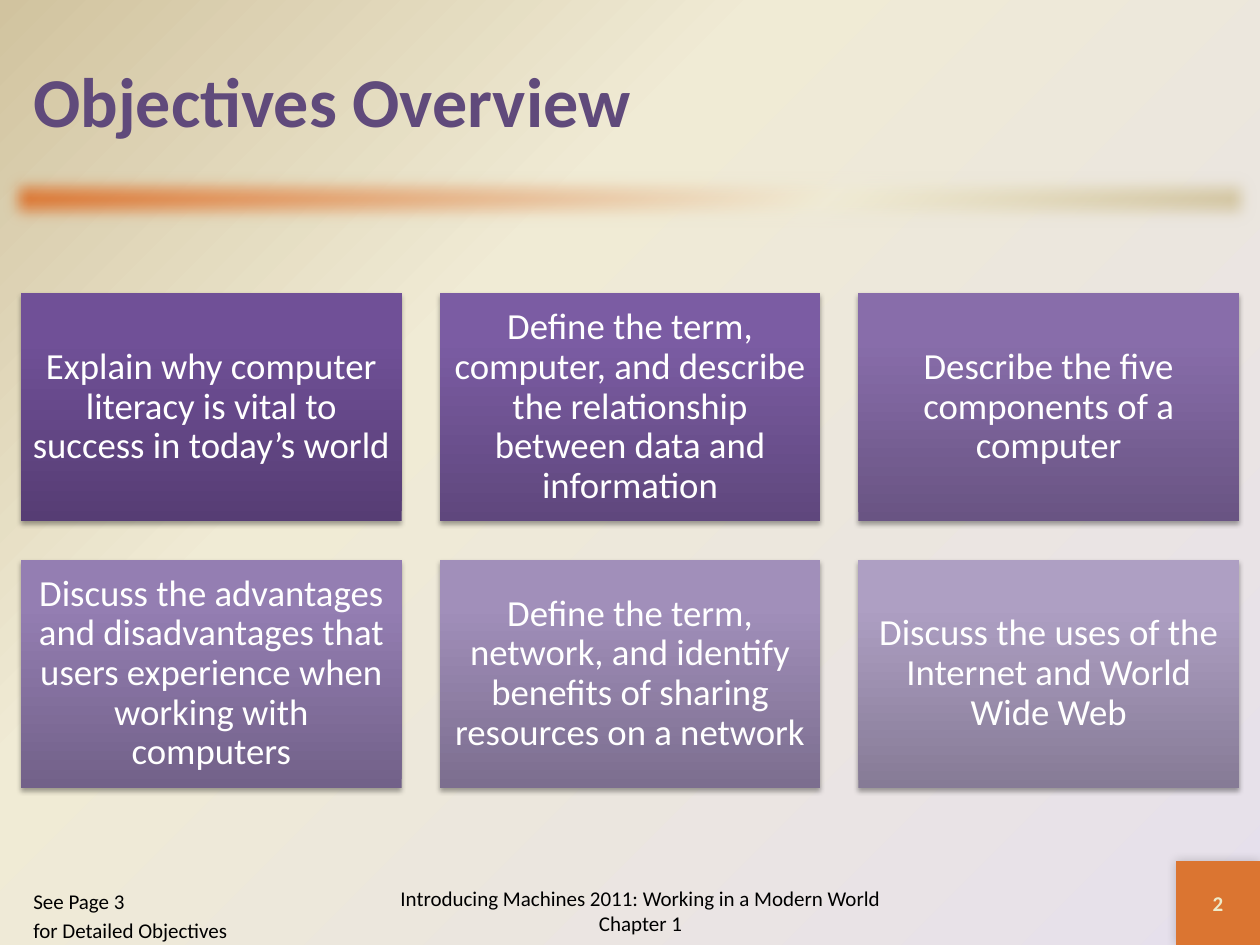
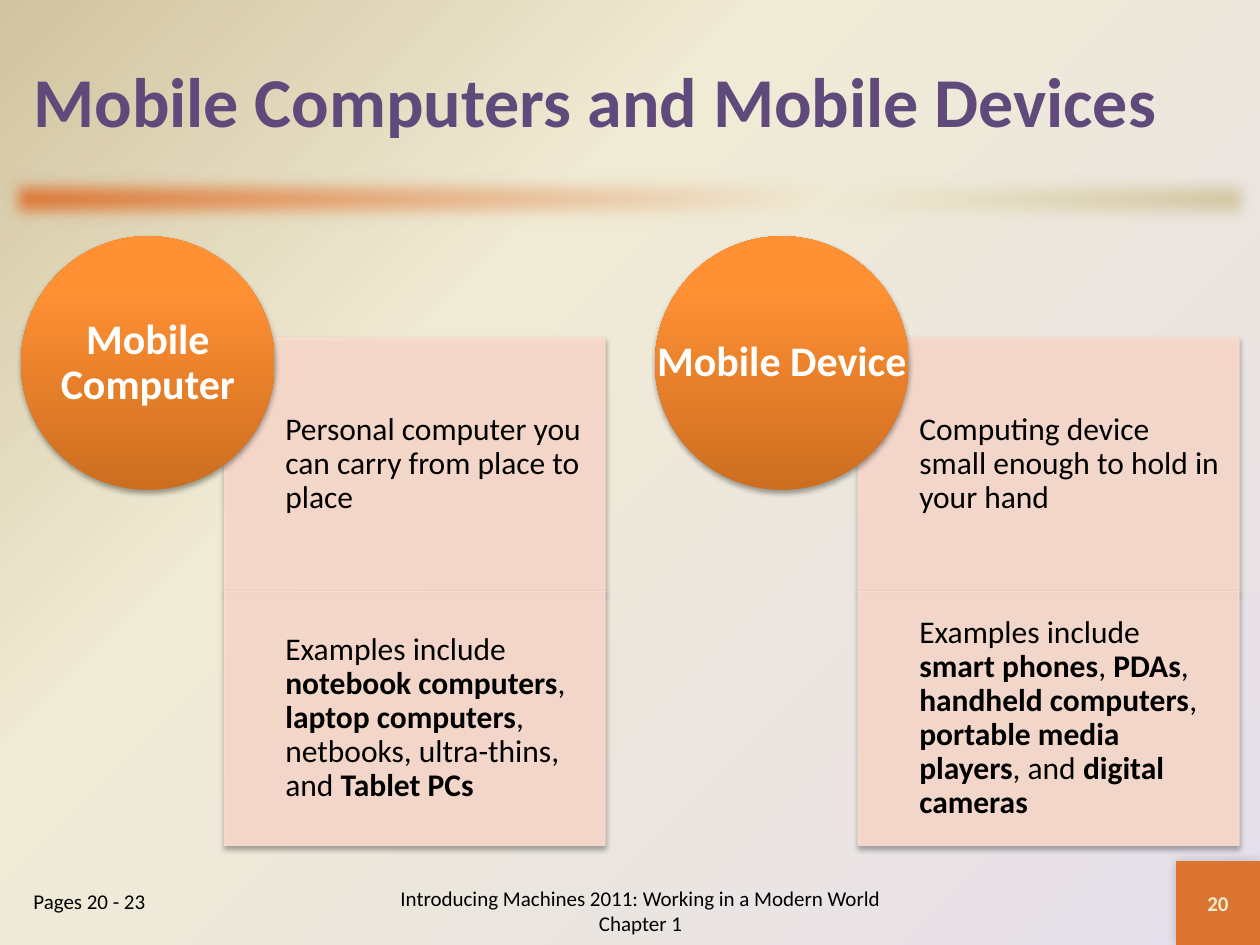
from lxml.etree import SubElement
from pptx import Presentation
from pptx.dml.color import RGBColor as RGB
from pptx.enum.shapes import MSO_SHAPE as Preset
from pptx.enum.text import MSO_ANCHOR as Anchor, PP_ALIGN as Align
from pptx.oxml.ns import qn
from pptx.util import Pt

COLORS = {
    "orange": "DB7531", "cream": "F0EBD5", "tan": "D1C39F", "lilac": "E6E0EC",
    "title": "604A7B", "white": "FFFFFF", "black": "000000", "number": "EEEBCA",
    "peach": "FCDDCF", "circle_low": "CC6E20", "circle_high": "FF9034",
    "card1_low": "563D74", "card1_high": "705097",
    "card2_low": "5F477D", "card2_high": "7B5CA3",
    "card3_low": "695483", "card3_high": "886DAA",
    "card4_low": "726189", "card4_high": "947EB2",
    "card5_low": "7C6E8F", "card5_high": "A18FBA",
    "card6_low": "867B96", "card6_high": "AE9FC3",
}
FONT = "Calibri"
MARGIN = 12
CONTENT_WIDTH = 696
CARD_WIDTH = 217.5
FOOTER = "Introducing Machines 2011: Working in a Modern World Chapter 1"

OBJECTIVES = [
    "Explain why computer literacy is vital to success in today’s world",
    "Define the term, computer, and describe the relationship between data and information",
    "Describe the five components of a computer",
    "Discuss the advantages and disadvantages that users experience when working with computers",
    "Define the term, network, and identify benefits of sharing resources on a network",
    "Discuss the uses of the Internet and World Wide Web",
]
# Asterisks enclose bold words
DEVICES = [
    ("Mobile Computer", [
        "Personal computer you can carry from place to place",
        "Examples include *notebook computers*, *laptop computers*, "
        "netbooks, ultra-thins, and *Tablet PCs*"]),
    ("Mobile Device", [
        "Computing device small enough to hold in your hand",
        "Examples include *smart phones*, *PDAs*, *handheld computers*, "
        "*portable media players*, and *digital cameras*"]),
]


def add_node(parent, tag, **attributes):
    return SubElement(parent, qn(tag), {k: str(v) for k, v in attributes.items()})


def add_color(parent, color, alpha=100):
    node = add_node(parent, "a:srgbClr", val=COLORS[color])
    if alpha < 100:
        add_node(node, "a:alpha", val=alpha * 1000)


def set_gradient(fill, owner, stops, angle=None):
    """Fill with (position, color) stops: linear, or round from the lower right corner."""
    fill.gradient()
    gradient = owner.find(".//" + qn("a:gradFill"))
    for child in list(gradient):
        gradient.remove(child)
    stop_list = add_node(gradient, "a:gsLst")
    for position, color in stops:
        add_color(add_node(stop_list, "a:gs", pos=position * 1000), color)
    if angle is None:
        circle = add_node(gradient, "a:path", path="circle")
        add_node(circle, "a:fillToRect", l=100000, t=100000)
    else:
        add_node(gradient, "a:lin", ang=angle * 60000, scaled=0)


def write(frame, text, size=12, color="black", bold=False, align=Align.LEFT,
          anchor=Anchor.MIDDLE, insets=(7.2, 3.6, 7.2, 3.6), spacing=None):
    frame.word_wrap = True
    frame.vertical_anchor = anchor
    (frame.margin_left, frame.margin_top,
     frame.margin_right, frame.margin_bottom) = map(Pt, insets)
    for line_number, line in enumerate(text.split("\n")):
        paragraph = frame.add_paragraph() if line_number else frame.paragraphs[0]
        paragraph.alignment = align
        if spacing:
            paragraph.line_spacing = spacing
        if line_number:
            paragraph.space_before = Pt(size * 0.2)
        for part_number, part in enumerate(line.split("*")):
            if part:
                run = paragraph.add_run()
                run.text = part
                run.font.name = FONT
                run.font.size = Pt(size)
                run.font.bold = bold or part_number % 2 == 1
                run.font.color.rgb = RGB.from_string(COLORS[color])


class Deck:
    def __init__(self):
        self.presentation = Presentation()
        self.presentation.slide_width = Pt(720)
        self.presentation.slide_height = Pt(540)
        self.slide = None

    def shape(self, box, color=None, stops=None, angle=270, preset=Preset.RECTANGLE,
              alpha=100, outlined=False):
        shape = self.slide.shapes.add_shape(preset, *map(Pt, box))
        if stops:
            set_gradient(shape.fill, shape._element.spPr, stops, angle)
        else:
            shape.fill.solid()
            shape.fill.fore_color.rgb = RGB.from_string(COLORS[color])
        if outlined:
            shape.line.color.rgb = RGB.from_string(COLORS[color])
            shape.line.width = Pt(0.75)
        else:
            shape.line.fill.background()
        if alpha < 100:
            for node in shape._element.spPr.iter(qn("a:srgbClr")):
                add_node(node, "a:alpha", val=alpha * 1000)
        shape.shadow.inherit = False
        return shape

    def effect(self, shape, tag, **attributes):
        effects = shape._element.spPr.find(qn("a:effectLst"))
        return add_node(effects, tag, **attributes)

    def shadow(self, shape, alpha=35, blur=3.1, distance=1.8, direction=90):
        node = self.effect(shape, "a:outerShdw", blurRad=Pt(blur), dist=Pt(distance),
                           dir=direction * 60000, rotWithShape=0)
        add_color(node, "black", alpha)

    def text(self, box, text, **style):
        write(self.slide.shapes.add_textbox(*map(Pt, box)).text_frame, text, **style)

    def new_slide(self, title, number, pages):
        self.slide = self.presentation.slides.add_slide(self.presentation.slide_layouts[6])
        set_gradient(self.slide.background.fill, self.slide._element,
                     [(0, "lilac"), (65, "cream"), (100, "tan")])
        # Soft band below the title
        band = self.shape((0, 96, 720, 36), angle=45,
                          stops=[(0, "orange"), (65, "cream"), (100, "tan")])
        self.effect(band, "a:softEdge", rad=Pt(10))
        self.text((MARGIN, 12, CONTENT_WIDTH, 90), title, size=40, color="title", bold=True)
        # Footer
        corner = self.shape((672, 492, 48, 48), "orange")
        self.shadow(corner, alpha=20, blur=6, distance=0, direction=225)
        write(corner.text_frame, str(number), color="number", bold=True, align=Align.CENTER)
        self.text((216, 500.5, 300, 39.5), FOOTER, align=Align.CENTER)
        self.text((MARGIN, 504, 132, 36), pages, anchor=Anchor.TOP)

    def objective(self, box, text, shade):
        card = self.shape(box, stops=[(0, f"card{shade}_low"), (80, f"card{shade}_high"),
                                      (100, f"card{shade}_high")])
        self.shadow(card)
        write(card.text_frame, text, size=21, color="white", align=Align.CENTER,
              insets=(6.3,) * 4, spacing=0.9)

    def detail(self, box, text):
        panel = self.shape(box, "peach", alpha=90, outlined=True)
        self.shadow(panel)
        write(panel.text_frame, text, size=18, insets=(34.8, 10, 10, 10), spacing=0.9)

    def circle(self, box, text):
        disc = self.shape(box, preset=Preset.OVAL,
                          stops=[(0, "circle_low"), (80, "circle_high"), (100, "circle_high")])
        self.shadow(disc)
        # The label spans the full width of the disc
        self.text(box, text, size=24, color="white", bold=True, align=Align.CENTER,
                  insets=(0,) * 4, spacing=0.9)


def build_objectives(deck):
    deck.new_slide("Objectives Overview", 2, "See Page 3\nfor Detailed Objectives")
    columns, height, top = 3, 130.5, 167.5
    gap = (CONTENT_WIDTH - columns * CARD_WIDTH) / (columns - 1)
    for index, objective in enumerate(OBJECTIVES):
        row, column = divmod(index, columns)
        deck.objective((MARGIN + column * (CARD_WIDTH + gap), top + row * (height + gap),
                        CARD_WIDTH, height), objective, index + 1)


def build_devices(deck):
    deck.new_slide("Mobile Computers and Mobile Devices", 20, "Pages 20 - 23")
    size, pitch, panel_top = 145, 362.25, 193
    panel_offset = CONTENT_WIDTH - pitch - CARD_WIDTH
    for column, (device, details) in enumerate(DEVICES):
        left = MARGIN + column * pitch
        for row, detail in enumerate(details):
            deck.detail((left + panel_offset, panel_top + row * size, CARD_WIDTH, size), detail)
        deck.circle((left, panel_top - 0.4 * size, size, size), device)


def main():
    deck = Deck()
    build_objectives(deck)
    build_devices(deck)
    deck.presentation.save("out.pptx")


if __name__ == "__main__":
    main()
